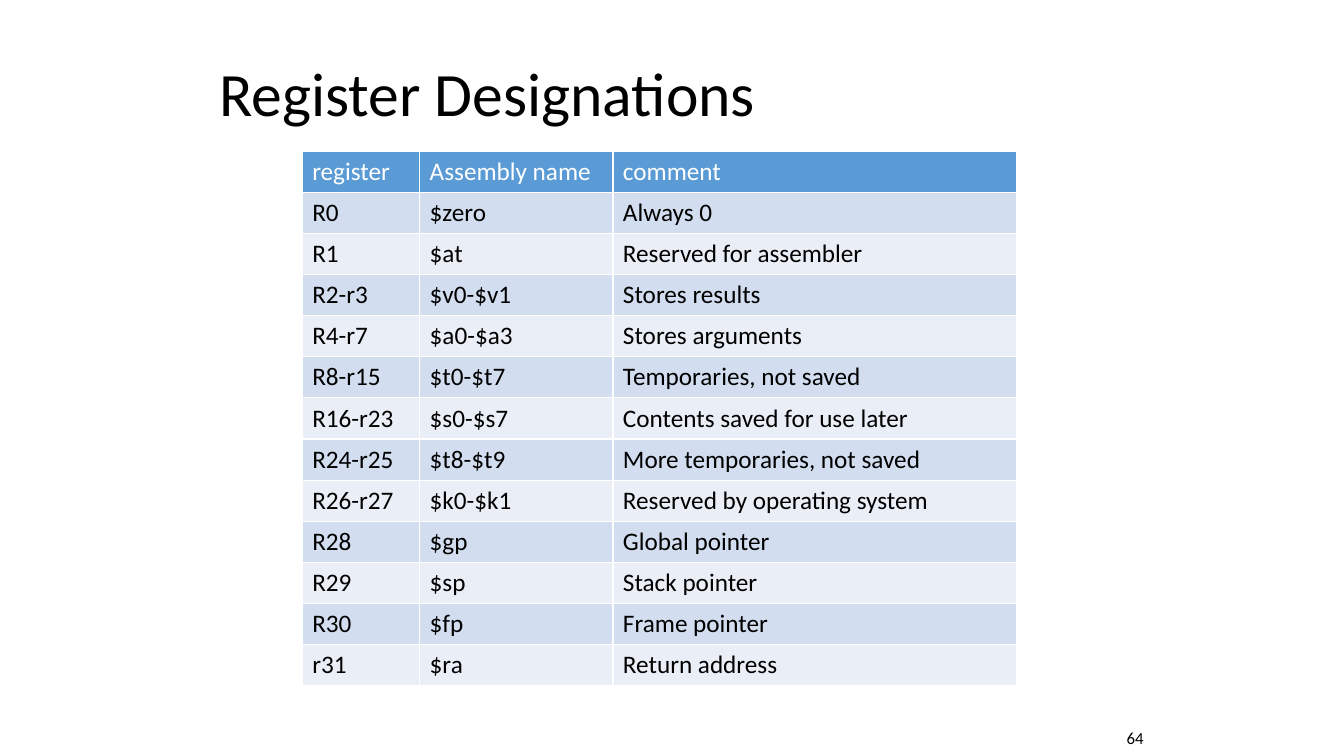
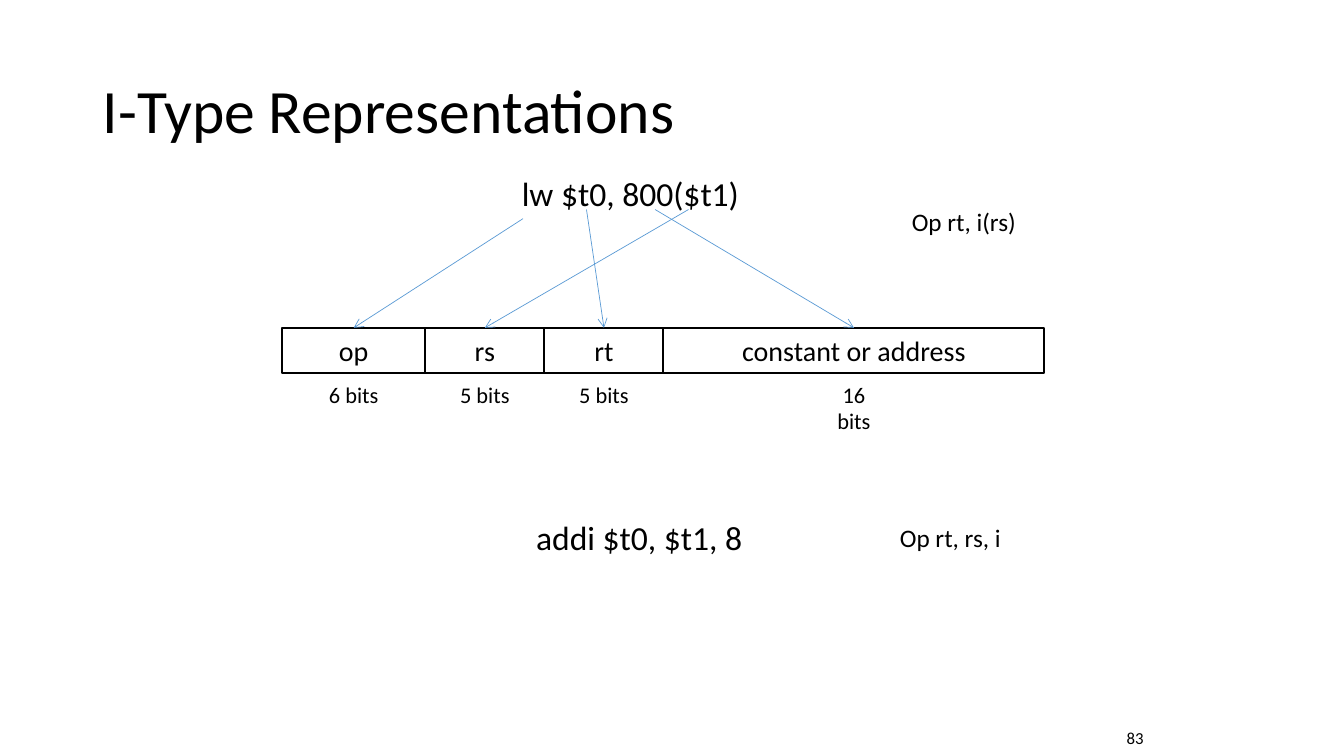
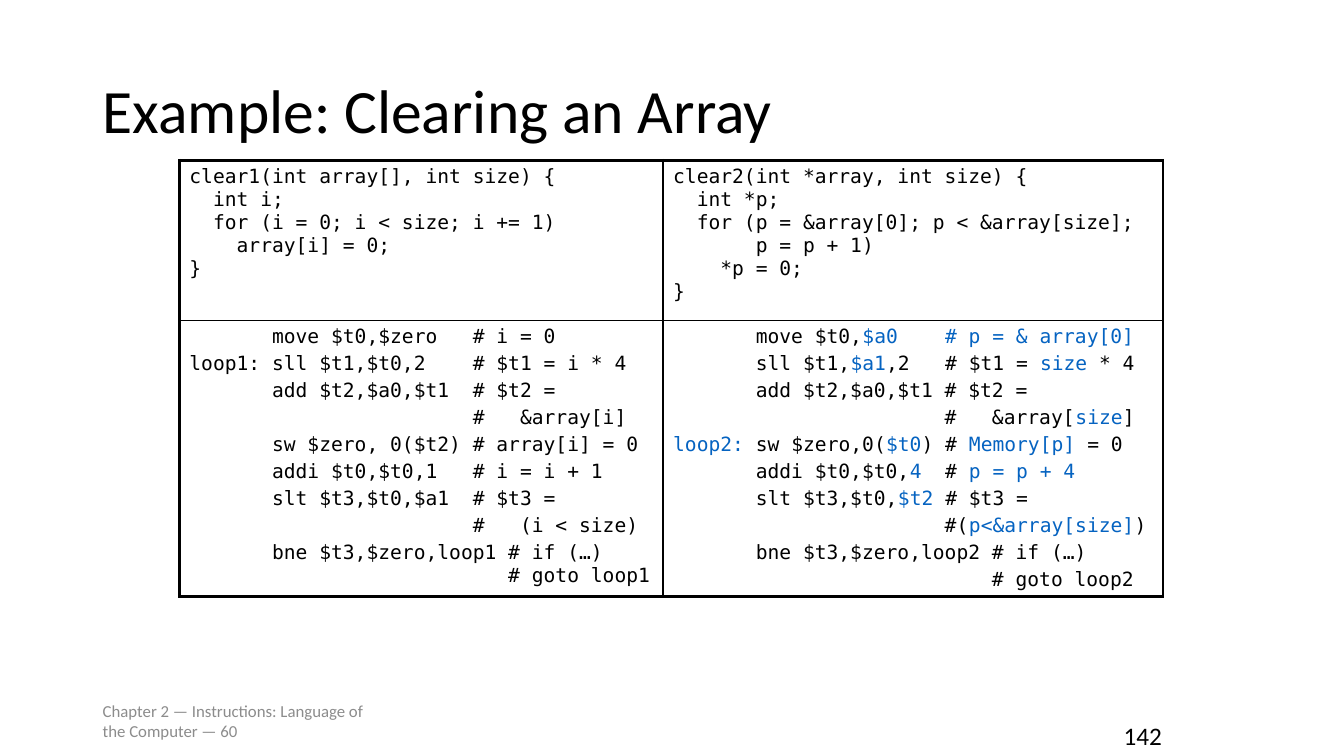
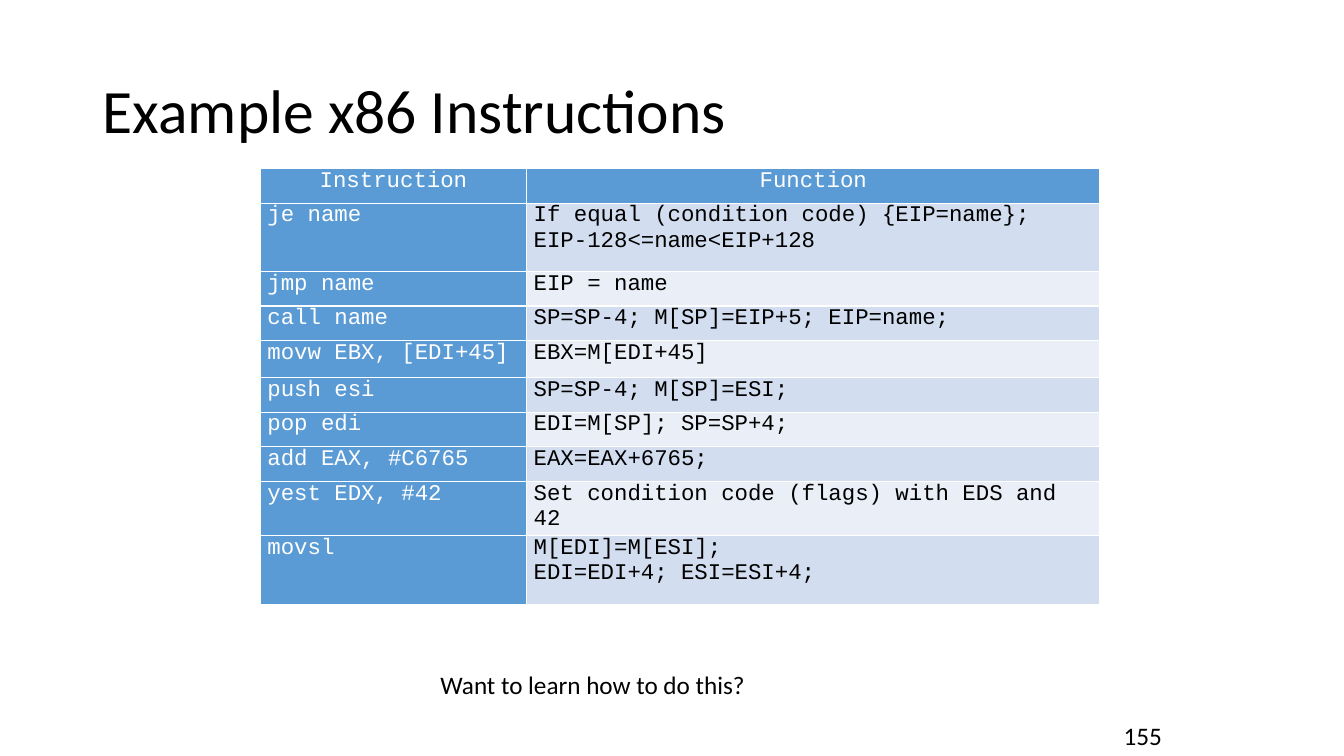
from itertools import accumulate

from lxml.etree import SubElement
from pptx import Presentation
from pptx.dml.color import RGBColor
from pptx.enum.shapes import MSO_CONNECTOR as Connector, MSO_SHAPE as Shape
from pptx.enum.text import MSO_ANCHOR as Anchor, MSO_AUTO_SIZE as AutoSize, PP_ALIGN as Align
from pptx.oxml.ns import qn
from pptx.util import Cm, Pt

BLACK, WHITE, GREY = "000000", "FFFFFF", "8C8C8C"
BLUE, BAND_DARK, BAND_LIGHT, HIGHLIGHT = "5B9BD5", "D2DEEF", "EAEFF7", "0563C1"
BODY_FONT, CODE_FONT, INSTRUCTION_FONT = "Calibri", "DejaVu Sans Mono", "Courier New"

REGISTERS = [
    ("register", "Assembly name", "comment"),
    ("R0", "$zero", "Always 0"),
    ("R1", "$at", "Reserved for assembler"),
    ("R2-r3", "$v0-$v1", "Stores results"),
    ("R4-r7", "$a0-$a3", "Stores arguments"),
    ("R8-r15", "$t0-$t7", "Temporaries, not saved"),
    ("R16-r23", "$s0-$s7", "Contents saved for use later"),
    ("R24-r25", "$t8-$t9", "More temporaries, not saved"),
    ("R26-r27", "$k0-$k1", "Reserved by operating system"),
    ("R28", "$gp", "Global pointer"),
    ("R29", "$sp", "Stack pointer"),
    ("R30", "$fp", "Frame pointer"),
    ("r31", "$ra", "Return address"),
]

INSTRUCTIONS = [
    ("Instruction", "Function"),
    ("je name", "If equal (condition code) {EIP=name};\nEIP-128<=name<EIP+128"),
    ("jmp name", "EIP = name"),
    ("call name", "SP=SP-4; M[SP]=EIP+5; EIP=name;"),
    ("movw EBX, [EDI+45]", "EBX=M[EDI+45]"),
    ("push esi", "SP=SP-4; M[SP]=ESI;"),
    ("pop edi", "EDI=M[SP]; SP=SP+4;"),
    ("add EAX, #C6765", "EAX=EAX+6765;"),
    ("yest EDX, #42", "Set condition code (flags) with EDS and 42"),
    ("movsl", "M[EDI]=M[ESI];\nEDI=EDI+4; ESI=ESI+4;"),
]

CLEAR_INDEX = """clear1(int array[], int size) {
  int i;
  for (i = 0; i < size; i += 1)
    array[i] = 0;
}"""

CLEAR_POINTER = """clear2(int *array, int size) {
  int *p;
  for (p = &array[0]; p < &array[size];
       p = p + 1)
    *p = 0;
}"""

LOOP_INDEX = """       move $t0,$zero   # i = 0
loop1: sll $t1,$t0,2    # $t1 = i * 4
       add $t2,$a0,$t1  # $t2 =
                        #   &array[i]
       sw $zero, 0($t2) # array[i] = 0
       addi $t0,$t0,1   # i = i + 1
       slt $t3,$t0,$a1  # $t3 =
                        #   (i < size)
       bne $t3,$zero,loop1 # if (…)\v                           # goto loop1"""

LOOP_POINTER = """       move $t0,|$a0    # p = & array[0]|
       sll $t1,|$a1|,2   # $t1 = |size| * 4
       add $t2,$a0,$t1 # $t2 =
                       #   &array[|size|]
|loop2:| sw $zero,0(|$t0|) # |Memory[p]| = 0
       addi $t0,$t0,|4|  # |p = p + 4|
       slt $t3,$t0,|$t2| # $t3 =
                       #(|p<&array[size]|)
       bne $t3,$zero,loop2 # if (…)
                           # goto loop2"""


def rgb(color):
    """Turn a hex string into a colour."""
    return RGBColor.from_string(color)


def write_text(frame, text, *, size=18, font=BODY_FONT, color=BLACK, align=Align.LEFT,
               line_spacing=None, space_before=0):
    """Write one paragraph per line, with the parts between bars highlighted."""
    for number, line in enumerate(text.split("\n")):
        paragraph = frame.add_paragraph() if number else frame.paragraphs[0]
        paragraph.alignment = align
        if line_spacing:
            paragraph.line_spacing = line_spacing
        if number and space_before:
            paragraph.space_before = Pt(space_before)
        for position, piece in enumerate(line.split("|")):
            for row, part in enumerate(piece.split("\v")):
                if row:
                    paragraph.add_line_break()
                if not part:
                    continue
                run = paragraph.add_run()
                run.text = part
                run.font.size = Pt(size)
                run.font.name = font
                run.font.color.rgb = rgb(HIGHLIGHT if position % 2 else color)


def add_text(slide, text, left, top, width, height, *, wrap=False, anchor=Anchor.TOP, **style):
    """Add a text box, which fits its text unless it wraps."""
    frame = slide.shapes.add_textbox(Cm(left), Cm(top), Cm(width), Cm(height)).text_frame
    frame.word_wrap = wrap
    frame.auto_size = AutoSize.NONE if wrap else AutoSize.SHAPE_TO_FIT_TEXT
    frame.vertical_anchor = anchor
    write_text(frame, text, **style)


def add_slide(presentation, title, left=2.34, top=1.01, width=29.21, height=3.68):
    """Add a blank slide with its title."""
    slide = presentation.slides.add_slide(presentation.slide_layouts[6])
    add_text(slide, title, left, top, width, height, wrap=True, anchor=Anchor.MIDDLE,
             size=44, line_spacing=0.9)
    return slide


def add_page_number(slide, number, small=False):
    """Add the page number at the lower right."""
    if small:
        add_text(slide, number, 28.14, 18.21, 0.94, 0.76, size=12)
    else:
        add_text(slide, number, 28.07, 18.03, 1.5, 1.02)


def set_borders(cell, color, widths):
    """Set the left, top, right and bottom borders of a cell."""
    properties = cell._tc.get_or_add_tcPr()
    for side, width in zip(("lnL", "lnR", "lnT", "lnB"), widths):
        line = SubElement(properties, qn(f"a:{side}"), w=str(Pt(width)))
        SubElement(SubElement(line, qn("a:solidFill")), qn("a:srgbClr"), val=color)


def add_grid(slide, left, top, widths, heights):
    """Add a plain table with the given column widths and row heights."""
    table = slide.shapes.add_table(len(heights), len(widths), Cm(left), Cm(top),
                                   Cm(sum(widths)), Cm(sum(heights))).table
    table.first_row = table.horz_banding = False
    for column, width in zip(table.columns, widths):
        column.width = Cm(width)
    for row, height in zip(table.rows, heights):
        row.height = Cm(height)
    return table


def fill_cell(cell, text, fill, border, widths, **style):
    """Give a cell its borders, fill and text."""
    set_borders(cell, border, widths)
    cell.fill.solid()
    cell.fill.fore_color.rgb = rgb(fill)
    write_text(cell.text_frame, text, **style)


def add_banded_table(slide, rows, left, top, widths, heights, *, header_column=False,
                     header_align=Align.LEFT, margins=(0.25, 0.13), **style):
    """Add a table with a blue header and banded rows."""
    table = add_grid(slide, left, top, widths, heights)
    for r, row in enumerate(rows):
        for c, text in enumerate(row):
            header = r == 0 or (header_column and c == 0)
            cell = table.cell(r, c)
            cell.margin_left = cell.margin_right = Cm(margins[0])
            cell.margin_top = cell.margin_bottom = Cm(margins[1])
            fill = BLUE if header else (BAND_LIGHT, BAND_DARK)[r % 2]
            fill_cell(cell, text, fill, WHITE, (1, 1, 1, 1),
                      color=WHITE if header else BLACK,
                      align=Align.LEFT if r else header_align, **style)


def add_code_table(slide, rows, left, top, widths, heights):
    """Add a table of code with a heavy frame."""
    table = add_grid(slide, left, top, widths, heights)
    thin, heavy = 1, 2.25
    for r, row in enumerate(rows):
        for c, text in enumerate(row):
            borders = [heavy if edge else thin for edge in
                       (c == 0, c == len(row) - 1, r == 0, r == len(rows) - 1)]
            fill_cell(table.cell(r, c), text, WHITE, BLACK, borders, size=14,
                      font=CODE_FONT, space_before=2.8 if r else 0)


def add_field(slide, text, left, top, width, height):
    """Add one outlined field of an instruction word."""
    shape = slide.shapes.add_shape(Shape.RECTANGLE, Cm(left), Cm(top), Cm(width), Cm(height))
    shape.shadow.inherit = False
    shape.fill.background()
    shape.line.color.rgb = rgb(BLACK)
    shape.line.width = Pt(1.5)
    shape.text_frame.vertical_anchor = Anchor.MIDDLE
    write_text(shape.text_frame, text, size=20, align=Align.CENTER)


def add_arrow(slide, start_x, start_y, end_x, end_y):
    """Add a thin blue arrow."""
    arrow = slide.shapes.add_connector(Connector.STRAIGHT, Cm(start_x), Cm(start_y),
                                       Cm(end_x), Cm(end_y))
    arrow.line.color.rgb = rgb(BLUE)
    arrow.line.width = Pt(0.5)
    SubElement(arrow.line._get_or_add_ln(), qn("a:tailEnd"), type="arrow")
    SubElement(arrow._element.spPr, qn("a:effectLst"))


def build_registers(presentation):
    """Build the slide on register names."""
    slide = add_slide(presentation, "Register Designations", 5.28, 0.84, 22.86, 3.18)
    add_banded_table(slide, REGISTERS, 7.62, 3.81, (2.96, 4.87, 10.16),
                     [1.03] * len(REGISTERS))
    add_page_number(slide, "64", small=True)


def build_formats(presentation):
    """Build the slide on the fields of I-type instructions."""
    slide = add_slide(presentation, "I-Type Representations")
    fields = [
        ("op", "6 bits", 3.61, (13.18, 5.51)),
        ("rs", "5 bits", 3, (17.35, 5.28)),
        ("rt", "5 bits", 3, (14.78, 5.28)),
        ("constant or address", "16 bits", 9.6, (16.51, 5.28)),
    ]
    top, height, label_width = 8.26, 1.14, 2
    lefts = accumulate((field[2] for field in fields), initial=7.11)
    for left, (name, bits, width, source) in zip(lefts, fields):
        center = left + width / 2
        add_field(slide, name, left, top, width, height)
        add_text(slide, bits, center - label_width / 2, 9.47, label_width, 0.94,
                 size=16, align=Align.CENTER)
        add_arrow(slide, *source, center, top)
    add_text(slide, "lw $t0, 800($t1)", 12.9, 4.24, 6.02, 1.28, size=24)
    add_text(slide, "addi $t0, $t1, 8", 13.26, 12.9, 5.74, 1.28, size=24)
    add_text(slide, "Op rt, i(rs)", 22.73, 5.08, 3.18, 1.02)
    add_text(slide, "Op rt, rs, i", 22.43, 13.03, 3.07, 1.02)
    add_page_number(slide, "83", small=True)


def build_clearing(presentation):
    """Build the slide comparing two ways to clear an array."""
    slide = add_slide(presentation, "Example: Clearing an Array")
    add_text(slide, "Chapter 2 — Instructions: Language of the Computer — 60",
             2.34, 17.65, 7.62, 1.02, wrap=True, anchor=Anchor.MIDDLE, size=12, color=GREY)
    add_code_table(slide, [(CLEAR_INDEX, CLEAR_POINTER), (LOOP_INDEX, LOOP_POINTER)],
                   4.52, 4.04, (12.19, 12.6), (4.04, 6.9))
    add_page_number(slide, "142")


def build_instructions(presentation):
    """Build the slide of x86 instructions."""
    slide = add_slide(presentation, "Example x86 Instructions")
    heights = (0.87, 1.72, 0.87, 0.87, 0.94, 0.87, 0.87, 0.87, 1.37, 1.73)
    add_banded_table(slide, INSTRUCTIONS, 6.56, 4.25, (6.71, 14.45), heights,
                     header_column=True, header_align=Align.CENTER, margins=(0.18, 0),
                     size=16, font=INSTRUCTION_FONT)
    add_text(slide, "Want to learn how to do this?", 10.85, 16.74, 8.28, 1.02)
    add_page_number(slide, "155")


def main():
    """Build the presentation and save it."""
    presentation = Presentation()
    presentation.slide_width, presentation.slide_height = Cm(33.87), Cm(19.05)
    for build in (build_registers, build_formats, build_clearing, build_instructions):
        build(presentation)
    presentation.save("out.pptx")


if __name__ == "__main__":
    main()
